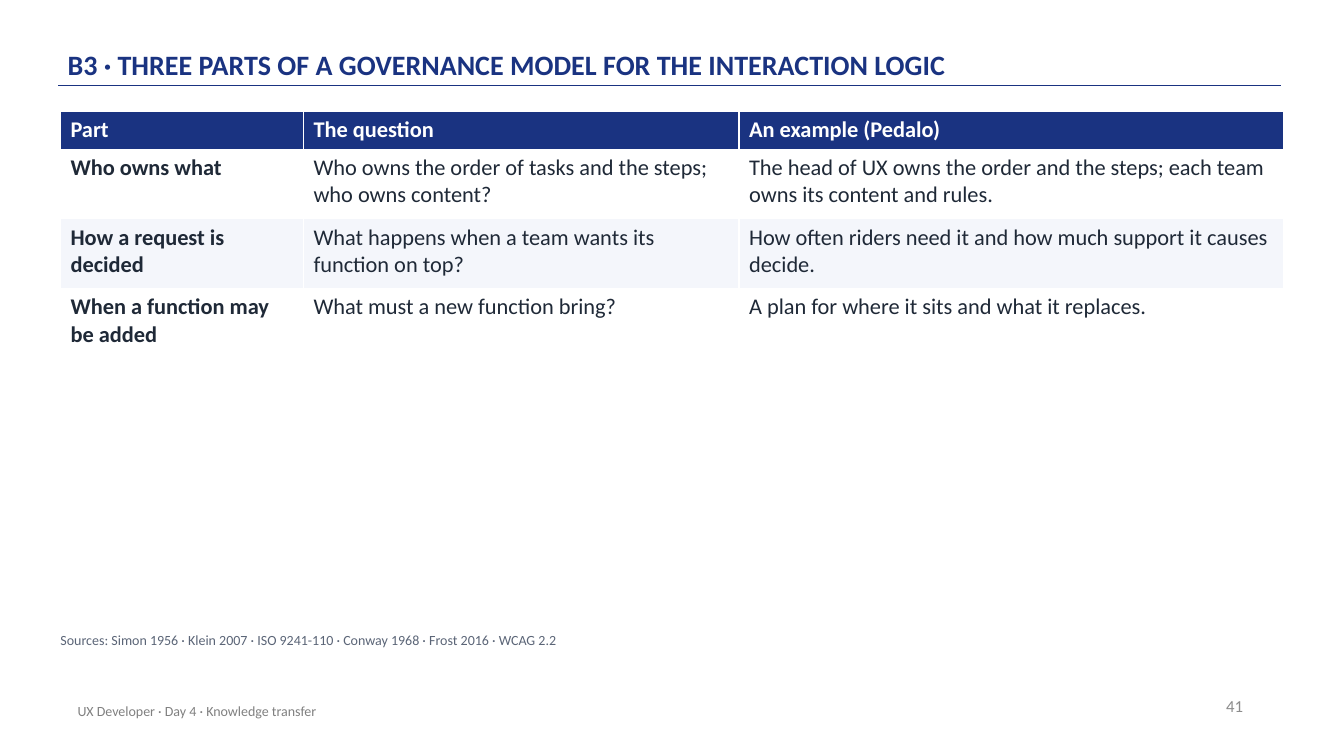
from pptx import Presentation, util as u
from pptx.dml.color import RGBColor
from pptx.enum import shapes, text
from pptx.oxml.ns import qn
from lxml import etree

WIDE, HIGH = u.Inches(13.33), u.Inches(7.5)
NAVY, INK, WHITE, PALE = "1A3381", "1F2937", "FFFFFF", "F4F6FB"
COLS = [18.08, 32.41, 40.51]
HEAD, BODY = 5.07, 9.2
ROWS = [
    ["Part", "The question", "An example (Pedalo)"],
    ["Who owns what",
     "Who owns the order of tasks and the steps; who owns content?",
     "The head of UX owns the order and the steps; each team owns its content and rules."],
    ["How a request is decided",
     "What happens when a team wants its function on top?",
     "How often riders need it and how much support it causes decide."],
    ["When a function may be added",
     "What must a new function bring?",
     "A plan for where it sits and what it replaces."],
]


def across(share):
    return round(WIDE * share / 100)


def down(share):
    return round(HIGH * share / 100)


def place(x, y, w, h):
    return across(x), down(y), across(w), down(h)


def color(code):
    return RGBColor.from_string(code)


def write(frame, words, size, code, bold=False):
    frame.text = words
    para = frame.paragraphs[0]
    font = para.runs[0].font
    font.name, font.size, font.bold = "Calibri", u.Pt(size), bold
    font.color.rgb = color(code)
    return para


def label(slide, area, words, size, code, bold=False, anchor="MIDDLE", inset=(0.1, 0.05)):
    frame = slide.shapes.add_textbox(*place(*area)).text_frame
    frame.word_wrap = True
    frame.vertical_anchor = text.MSO_ANCHOR[anchor]
    frame.margin_left = frame.margin_right = u.Inches(inset[0])
    frame.margin_top = frame.margin_bottom = u.Inches(inset[1])
    return write(frame, words, size, code, bold)


def rule(slide, left, right, y):
    line = slide.shapes.add_connector(
        shapes.MSO_CONNECTOR.STRAIGHT, across(left), down(y), across(right), down(y))
    line.line.color.rgb = color(NAVY)
    line.line.width = u.Pt(1)
    etree.SubElement(line._element.spPr, qn("a:effectLst"))


def grid(slide, x, y):
    high = HEAD + BODY * (len(ROWS) - 1)
    table = slide.shapes.add_table(
        len(ROWS), len(COLS), *place(x, y, sum(COLS), high)).table
    for col, share in zip(table.columns, COLS):
        col.width = across(share)
    for r, row in enumerate(ROWS):
        table.rows[r].height = down(BODY if r else HEAD)
        fill = (PALE if r % 2 == 0 else WHITE) if r else NAVY
        for c, words in enumerate(row):
            cell = table.cell(r, c)
            cell.fill.solid()
            cell.fill.fore_color.rgb = color(fill)
            write(cell.text_frame, words, 16, INK if r else WHITE, r == 0 or c == 0)


def main():
    deck = Presentation()
    deck.slide_width, deck.slide_height = WIDE, HIGH
    slide = deck.slides.add_slide(deck.slide_layouts[6])
    rule(slide, 4.35, 95.35, 11.33)
    title = label(slide, (5.03, 1.6, 82.52, 9.6),
                  "B3 · THREE PARTS OF A GOVERNANCE MODEL FOR THE INTERACTION LOGIC",
                  20, NAVY, True, "BOTTOM", (0, 0.03))
    title.line_spacing = 0.9
    page = label(slide, (70.74, 90.67, 22.5, 5.33), "41", 12, "8C8C8C")
    page.alignment = text.PP_ALIGN.RIGHT
    label(slide, (5.03, 91.33, 50.26, 5.33),
          "UX Developer · Day 4 · Knowledge transfer", 10, "808080")
    grid(slide, 4.5, 14.67)
    notes = label(slide, (4.5, 83.6, 90.77, 4),
                  "Sources: Simon 1956 · Klein 2007 · ISO 9241-110 · Conway 1968 · Frost 2016 · WCAG 2.2",
                  10, "5B6577", anchor="TOP", inset=(0, 0))
    notes.space_after = u.Pt(6)
    deck.save("out.pptx")


if __name__ == "__main__":
    main()
